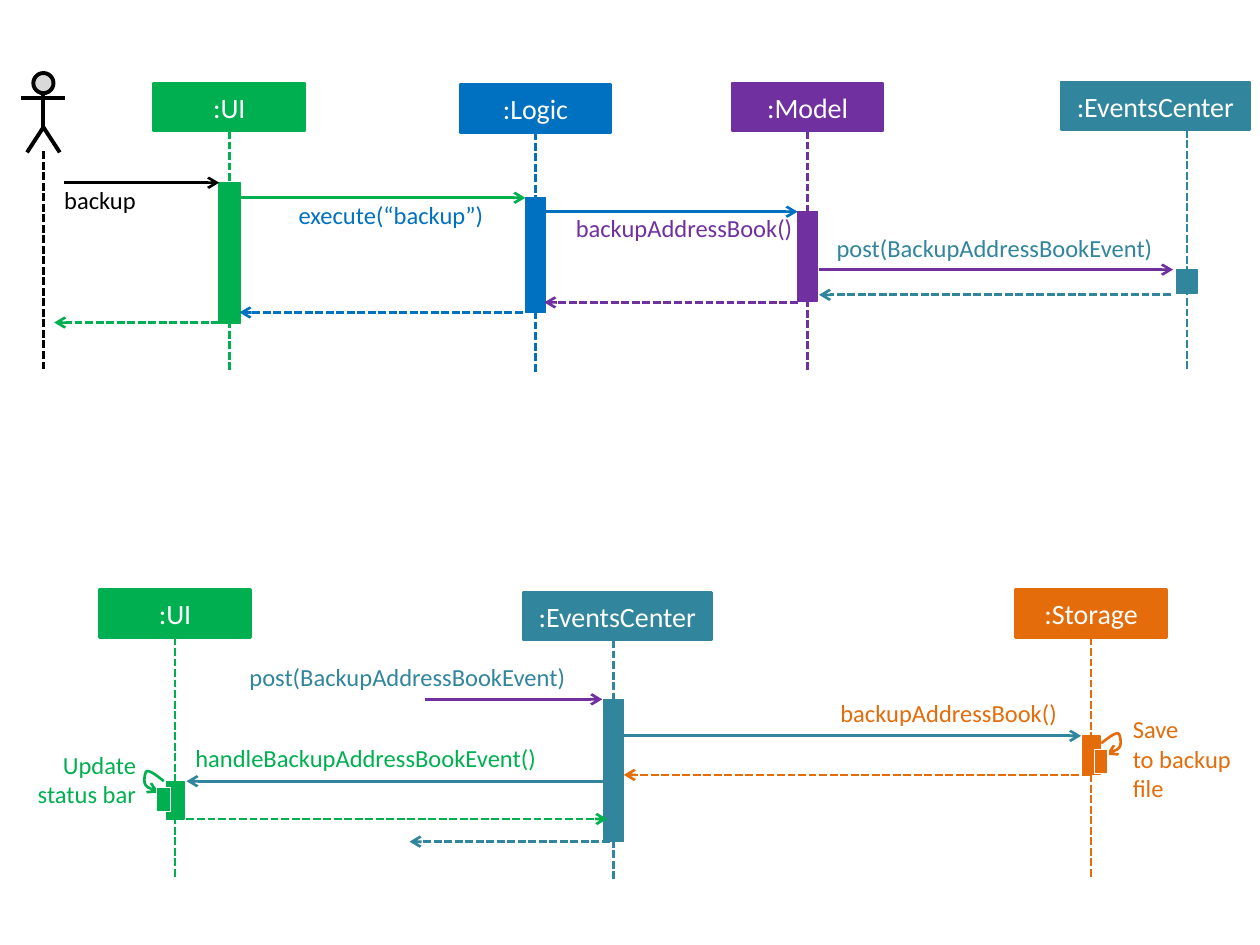
from lxml.etree import SubElement
from pptx import Presentation
from pptx.dml.color import RGBColor
from pptx.enum.dml import MSO_LINE
from pptx.enum.shapes import MSO_CONNECTOR, MSO_SHAPE
from pptx.enum.text import MSO_ANCHOR, MSO_AUTO_SIZE, PP_ALIGN
from pptx.oxml.ns import qn
from pptx.util import Inches, Pt

BLACK = RGBColor(0x00, 0x00, 0x00)
WHITE = RGBColor(0xFF, 0xFF, 0xFF)
GRAY = RGBColor(0xD9, 0xD9, 0xD9)
GREEN = RGBColor(0x00, 0xB0, 0x50)
BLUE = RGBColor(0x00, 0x70, 0xC0)
PURPLE = RGBColor(0x70, 0x30, 0xA0)
TEAL = RGBColor(0x31, 0x85, 0x9C)
ORANGE = RGBColor(0xE4, 0x6C, 0x0A)

COLUMNS, ROWS = 100, 75
BOTTOM = 2
HEADER_HEIGHT, LIFE_LENGTH, LABEL_LINE = 3.8, 19, 2.38
LOOP_START = (0.4, 0.9)
LOOP_CURVES = [
    ((0.9, 0.7), (1.4, 0.5), (1.5, 0.2)),
    ((1.6, -0.1), (1.5, -0.8), (1.3, -0.8)),
    ((1.0, -0.8), (0.5, -0.4), (0, 0)),
]


def curve_points(start, curves, steps=8):
    points = [start]
    for first, second, end in curves:
        origin = points[-1]
        for step in range(1, steps + 1):
            t = step / steps
            weights = ((1 - t) ** 3, 3 * t * (1 - t) ** 2, 3 * t * t * (1 - t), t ** 3)
            controls = (origin, first, second, end)
            points.append(tuple(sum(w * c[axis] for w, c in zip(weights, controls))
                                for axis in (0, 1)))
    return points


class SequenceDiagram:
    font_name = "Calibri"
    header_size, label_size = Pt(16), Pt(14)

    def __init__(self, deck):
        self.column = deck.slide_width / COLUMNS
        self.row = deck.slide_height / ROWS
        self.shapes = deck.slides.add_slide(deck.slide_layouts[6]).shapes

    def place(self, x, y):
        return round(x * self.column), round(y * self.row)

    def style_font(self, paragraph, size, color, align):
        paragraph.alignment = align
        paragraph.font.name = self.font_name
        paragraph.font.size = size
        paragraph.font.color.rgb = color

    def style_line(self, shape, color, weight, dashed=False, arrow=None):
        shape.line.color.rgb = color
        shape.line.width = Pt(weight)
        if dashed:
            shape.line.dash_style = MSO_LINE.SQUARE_DOT
        if arrow:
            SubElement(shape.get_or_add_ln(), qn(f"a:{arrow}"), type="arrow")

    def block(self, x, y, width, height, fill, line, weight, kind=MSO_SHAPE.RECTANGLE):
        shape = self.shapes.add_shape(kind, *self.place(x, y), *self.place(width, height))
        shape.shadow.inherit = False
        shape.fill.solid()
        shape.fill.fore_color.rgb = fill
        self.style_line(shape, line, weight)
        return shape

    def line(self, start, end, color, weight=1.5, dashed=False, arrow=None):
        connector = self.shapes.add_connector(
            MSO_CONNECTOR.STRAIGHT, *self.place(*start), *self.place(*end))
        self.style_line(connector, color, weight, dashed, arrow)
        SubElement(connector._element.spPr, qn("a:effectLst"))
        return connector

    def outline(self, points, color, weight, arrow=None):
        first, *rest = [self.place(*point) for point in points]
        builder = self.shapes.build_freeform(*first)
        builder.add_line_segments(rest, close=False)
        shape = builder.convert_to_shape()
        shape.shadow.inherit = False
        shape.fill.background()
        self.style_line(shape, color, weight, arrow=arrow)

    def label(self, text, x, y, width, color, lines=1, align=PP_ALIGN.LEFT):
        box = self.shapes.add_textbox(
            *self.place(x, y), *self.place(width, lines * LABEL_LINE))
        frame = box.text_frame
        frame.margin_left = frame.margin_right = frame.margin_top = frame.margin_bottom = 0
        frame.word_wrap = True
        frame.auto_size = MSO_AUTO_SIZE.SHAPE_TO_FIT_TEXT
        frame.text = text
        self.style_font(frame.paragraphs[0], self.label_size, color, align)

    def participant(self, name, color, x, y, width, bar, life_x=None):
        header = self.block(x, y, width, HEADER_HEIGHT, color, color, 1.5)
        frame = header.text_frame
        frame.text = name
        frame.vertical_anchor = MSO_ANCHOR.MIDDLE
        self.style_font(frame.paragraphs[0], self.header_size, WHITE, PP_ALIGN.CENTER)
        center = life_x or x + width / 2
        base = y + HEADER_HEIGHT
        life = self.line((center, base), (center, base + LIFE_LENGTH), color, dashed=True)
        if life_x is None:
            life.begin_connect(header, BOTTOM)
        top, bar_width, bar_height = bar
        self.block(center - bar_width / 2, top, bar_width, bar_height, color, color, 0.75)

    def message(self, start_x, end_x, y, color, dashed=False):
        self.line((start_x, y), (end_x, y), color, dashed=dashed, arrow="tailEnd")

    def actor(self, x, y):
        page, self.shapes = self.shapes, self.shapes.add_group_shape().shapes
        self.block(x - 0.8, y, 1.6, 1.6, GRAY, BLACK, 2.25, MSO_SHAPE.FLOWCHART_CONNECTOR)
        self.line((x, y + 1.6), (x, y + 4.4), BLACK, 2.25)
        self.outline([(x - 1.3, y + 6.3), (x, y + 4.3), (x + 1.3, y + 6.3)], BLACK, 2.25)
        self.line((x - 1.75, y + 2), (x + 1.75, y + 2), BLACK, 2.25)
        self.shapes = page
        self.line((x, y + 6.2), (x, y + 23.7), BLACK, dashed=True)

    def self_call(self, x, y, side, color):
        page, self.shapes = self.shapes, self.shapes.add_group_shape().shapes
        loop = curve_points(LOOP_START, LOOP_CURVES)
        self.outline([(x + side * dx, y + dy) for dx, dy in loop], color, 1.5, "headEnd")
        self.block(x - 0.55, y + 0.5, 1.1, 1.9, color, WHITE, 0.75)
        self.shapes = page


def main():
    deck = Presentation()
    deck.slide_width, deck.slide_height = Inches(10), Inches(7.5)
    diagram = SequenceDiagram(deck)

    diagram.actor(3.45, 5.8)
    for participant in [
        (":UI", GREEN, 12.2, 6.6, 12, (14.5, 1.7, 11.2)),
        (":Logic", BLUE, 36.5, 6.7, 12, (15.7, 1.6, 9.1)),
        (":Model", PURPLE, 58.1, 6.6, 12, (16.8, 1.6, 7.1)),
        (":EventsCenter", TEAL, 84.2, 6.5, 15, (21.4, 1.6, 1.9), 94.2),
        (":UI", GREEN, 7.9, 46.8, 12, (62, 1.4, 3)),
        (":EventsCenter", TEAL, 41.5, 47, 15, (55.5, 1.6, 11.3), 48.7),
        (":Storage", ORANGE, 80.6, 46.8, 12, (58.4, 1.4, 3.1)),
    ]:
        diagram.participant(*participant)

    for call in [
        (5.1, 17.4, 14.5, BLACK),
        (19, 41.7, 15.7, GREEN),
        (43.2, 63.3, 16.8, BLUE),
        (65, 93.1, 21.4, PURPLE),
        (33.7, 47.8, 55.5, PURPLE),
        (49.5, 85.8, 58.4, TEAL),
        (48.2, 14.8, 62, TEAL),
    ]:
        diagram.message(*call)

    for reply in [
        (92.9, 65, 23.4, TEAL),
        (63.3, 43.2, 24, PURPLE),
        (41.5, 19, 24.8, BLUE),
        (17.4, 4.3, 25.6, GREEN),
        (86.5, 49.5, 61.5, ORANGE),
        (14.8, 48.2, 65, GREEN),
        (48.4, 32.5, 66.8, TEAL),
    ]:
        diagram.message(*reply, dashed=True)

    diagram.self_call(13, 62, -1, GREEN)
    diagram.self_call(87.4, 59, 1, ORANGE)

    for label in [
        ("backup", 5.1, 14.7, 9.4, BLACK),
        ("execute(“backup”)", 23.7, 15.9, 15.6, BLUE),
        ("backupAddressBook()", 45.7, 16.9, 18.4, PURPLE),
        ("post(BackupAddressBookEvent)", 66.4, 18.5, 26.7, TEAL),
        ("post(BackupAddressBookEvent)", 19.8, 52.5, 29.7, TEAL),
        ("backupAddressBook()", 66.7, 55.4, 17.7, ORANGE),
        ("handleBackupAddressBookEvent()", 15.5, 59, 29.1, GREEN),
        ("Update status bar", 2.1, 59.5, 8.7, GREEN, 2, PP_ALIGN.RIGHT),
        ("Save \vto backup file", 89.9, 56.7, 9.2, ORANGE, 3),
    ]:
        diagram.label(*label)

    deck.save("out.pptx")


if __name__ == "__main__":
    main()
